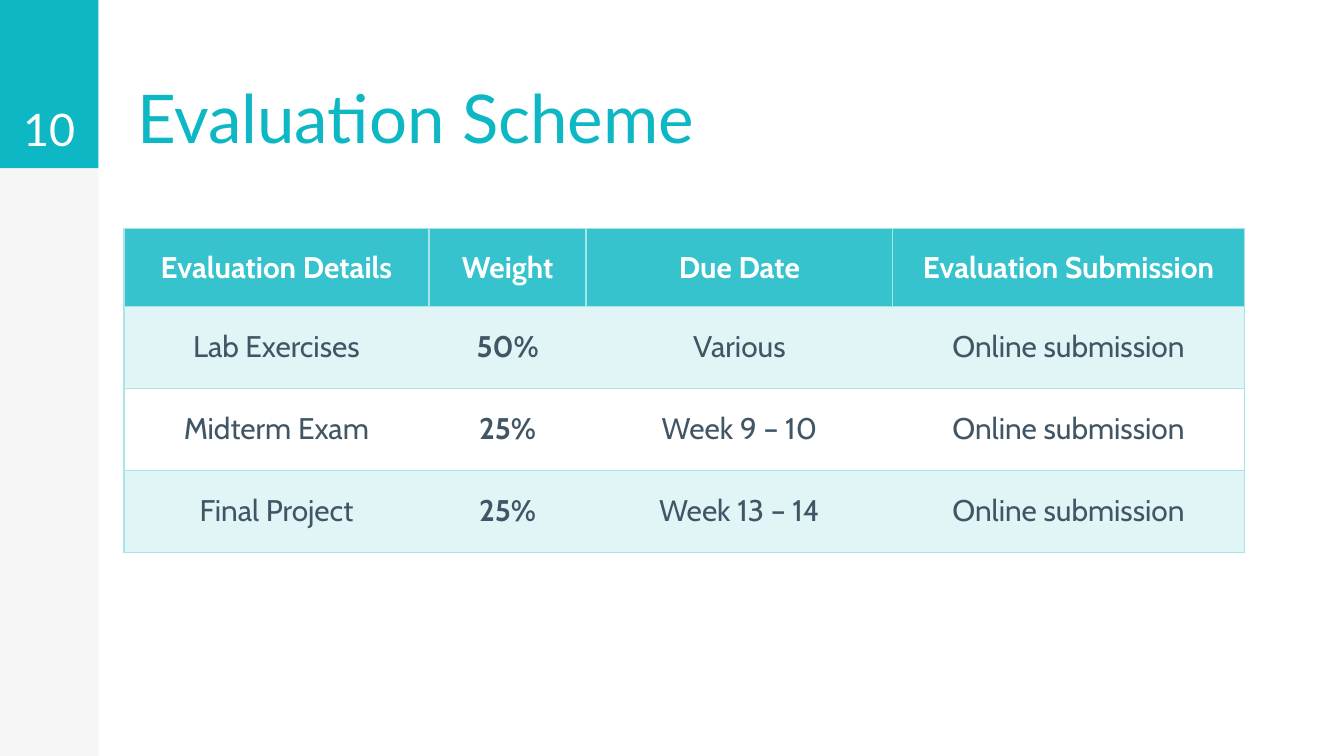
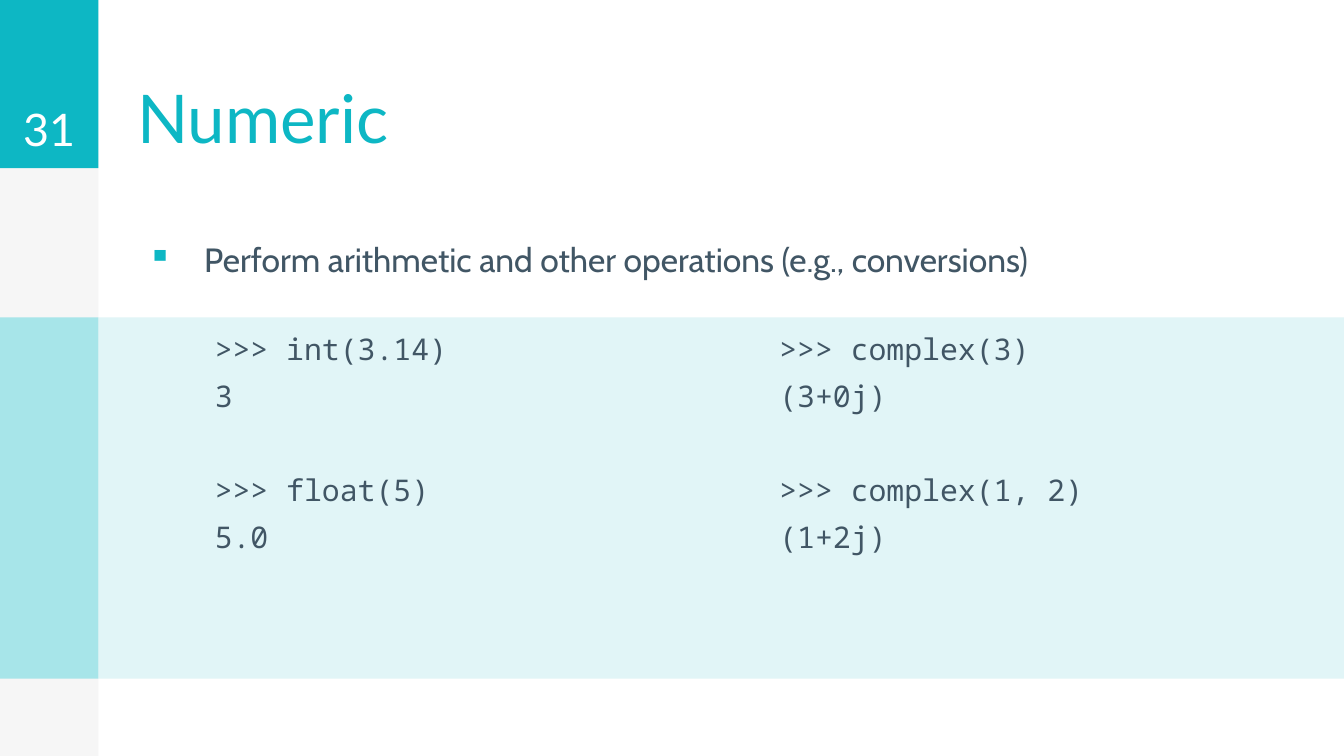
import pptx
import pptx.util
import pptx.dml.color
import pptx.enum.shapes
import pptx.enum.text
import pptx.oxml.ns
from lxml import etree

Cm = pptx.util.Cm
Pt = pptx.util.Pt
ALIGN = pptx.enum.text.PP_ALIGN
ANCHOR = pptx.enum.text.MSO_ANCHOR

COLORS = {
    "accent": "0DB7C4",
    "header": "37C3CE",
    "border": "A7E5E9",
    "tint": "E1F5F7",
    "sidebar": "F6F6F6",
    "text": "415665",
    "white": "FFFFFF",
}
HEADING_FONT, BODY_FONT, CODE_FONT = "Lato", "Cabin", "Noto Sans Mono"

EVALUATION = {
    "number": "10",
    "title": "Evaluation Scheme",
    "rows": [
        ("Evaluation Details", "Weight", "Due Date", "Evaluation Submission"),
        ("Lab Exercises", "50%", "Various", "Online submission"),
        ("Midterm Exam", "25%", "Week 9 – 10", "Online submission"),
        ("Final Project", "25%", "Week 13 – 14", "Online submission"),
    ],
}
NUMERIC = {
    "number": "31",
    "title": "Numeric",
    "bullet": "Perform arithmetic and other operations (e.g., conversions)",
    "code_columns": [
        [(">>> int(3.14)", "3"), (">>> float(5)", "5.0")],
        [(">>> complex(3)", "(3+0j)"), (">>> complex(1, 2)", "(1+2j)")],
    ],
}

SLIDE_WIDTH, SLIDE_HEIGHT = 25.4, 14.29
SIDEBAR_WIDTH, HEADER_HEIGHT = 1.86, 3.18
CONTENT_LEFT, CONTENT_WIDTH = 2.34, 21.18
TABLE_TOP, HEADER_ROW, BODY_ROW = 4.32, 1.47, 1.55
COLUMN_WIDTHS = [5.77, 2.97, 5.79, 6.65]
BULLET_TOP, BULLET_HEIGHT = 4.27, 1.6
CODE_TOP, CODE_HEIGHT = 6, 6.83
CODE_WIDTH, CODE_GAP = 10.54, 0.13
LINE_SPACE, GROUP_SPACE = 6, 31


def rgb(color):
    return pptx.dml.color.RGBColor.from_string(COLORS[color])


def write(frame, lines, font=BODY_FONT, size=16, color="text", bold=False,
          align=ALIGN.LEFT, anchor=ANCHOR.TOP, margin=0.25,
          indent=0, hanging=0, bullet=None):
    frame.word_wrap = True
    frame.auto_size = pptx.enum.text.MSO_AUTO_SIZE.NONE
    frame.vertical_anchor = anchor
    frame.margin_left = frame.margin_right = Cm(margin)
    frame.margin_top = frame.margin_bottom = Cm(margin)
    for index, (text, space) in enumerate(lines):
        paragraph = frame.add_paragraph() if index else frame.paragraphs[0]
        paragraph.alignment = align
        if index:
            paragraph.space_before = Pt(space)
        properties = paragraph._p.get_or_add_pPr()
        if indent:
            properties.set("marL", str(Cm(indent)))
            properties.set("indent", str(Cm(hanging)))
        if bullet:
            bullet_color = etree.SubElement(properties, pptx.oxml.ns.qn("a:buClr"))
            etree.SubElement(bullet_color, pptx.oxml.ns.qn("a:srgbClr"), val=COLORS["accent"])
            etree.SubElement(properties, pptx.oxml.ns.qn("a:buChar"), char=bullet)
        run = paragraph.add_run()
        run.text = text
        run.font.name = font
        run.font.size = Pt(size)
        run.font.bold = bold
        run.font.color.rgb = rgb(color)


def add_text(slide, left, top, width, height, lines, **style):
    box = slide.shapes.add_textbox(Cm(left), Cm(top), Cm(width), Cm(height))
    write(box.text_frame, lines, **style)


def add_band(slide, left, top, width, height, color):
    shape = slide.shapes.add_shape(
        pptx.enum.shapes.MSO_SHAPE.RECTANGLE, Cm(left), Cm(top), Cm(width), Cm(height))
    shape.shadow.inherit = False
    shape.fill.solid()
    shape.fill.fore_color.rgb = rgb(color)
    shape.line.fill.background()


def add_base_slide(presentation, content):
    slide = presentation.slides.add_slide(presentation.slide_layouts[5])
    add_band(slide, 0, 0, SIDEBAR_WIDTH, SLIDE_HEIGHT, "sidebar")
    add_band(slide, 0, 0, SIDEBAR_WIDTH, HEADER_HEIGHT, "accent")
    title = slide.shapes.title
    title.left, title.top = Cm(CONTENT_LEFT), Cm(0.03)
    title.width, title.height = Cm(CONTENT_WIDTH), Cm(HEADER_HEIGHT)
    write(title.text_frame, [(content["title"], 0)], font=HEADING_FONT, size=36,
          color="accent", anchor=ANCHOR.BOTTOM)
    add_text(slide, 0, 0, SIDEBAR_WIDTH, HEADER_HEIGHT, [(content["number"], 0)],
             font=HEADING_FONT, size=24, color="white",
             align=ALIGN.CENTER, anchor=ANCHOR.BOTTOM)
    return slide


def set_borders(cell, sides):
    properties = cell._tc.get_or_add_tcPr()
    for side in "LRTB":
        line = etree.SubElement(properties, pptx.oxml.ns.qn("a:ln" + side), w=str(Pt(1)))
        if side in sides:
            fill = etree.SubElement(line, pptx.oxml.ns.qn("a:solidFill"))
            etree.SubElement(fill, pptx.oxml.ns.qn("a:srgbClr"), val=COLORS["border"])
        else:
            etree.SubElement(line, pptx.oxml.ns.qn("a:noFill"))


def build_evaluation(presentation):
    slide = add_base_slide(presentation, EVALUATION)
    rows = EVALUATION["rows"]
    heights = [HEADER_ROW] + [BODY_ROW] * (len(rows) - 1)
    table = slide.shapes.add_table(
        len(rows), len(COLUMN_WIDTHS), Cm(CONTENT_LEFT), Cm(TABLE_TOP),
        Cm(CONTENT_WIDTH), Cm(sum(heights))).table
    for column, width in zip(table.columns, COLUMN_WIDTHS):
        column.width = Cm(width)
    last = len(COLUMN_WIDTHS) - 1
    for row_index, values in enumerate(rows):
        table.rows[row_index].height = Cm(heights[row_index])
        header = row_index == 0
        fill = "header" if header else "tint" if row_index % 2 else "white"
        for column_index, value in enumerate(values):
            cell = table.cell(row_index, column_index)
            sides = "TB"
            if header or column_index == 0:
                sides += "L"
            if header or column_index == last:
                sides += "R"
            set_borders(cell, sides)
            cell.fill.solid()
            cell.fill.fore_color.rgb = rgb(fill)
            cell.vertical_anchor = ANCHOR.MIDDLE
            write(cell.text_frame, [(value, 0)], align=ALIGN.CENTER, anchor=ANCHOR.MIDDLE,
                  color="white" if header else "text", bold=header or column_index == 1)


def build_numeric(presentation):
    slide = add_base_slide(presentation, NUMERIC)
    add_text(slide, CONTENT_LEFT, BULLET_TOP, CONTENT_WIDTH, BULLET_HEIGHT,
             [(NUMERIC["bullet"], 0)], size=18, indent=1.27, hanging=-1.07, bullet="▪")
    add_band(slide, SIDEBAR_WIDTH, CODE_TOP, SLIDE_WIDTH - SIDEBAR_WIDTH, CODE_HEIGHT, "tint")
    add_band(slide, 0, CODE_TOP, SIDEBAR_WIDTH, CODE_HEIGHT, "border")
    for index, examples in enumerate(NUMERIC["code_columns"]):
        lines = []
        for command, result in examples:
            lines += [(command, GROUP_SPACE), (result, LINE_SPACE)]
        add_text(slide, CONTENT_LEFT + index * (CODE_WIDTH + CODE_GAP), CODE_TOP,
                 CODE_WIDTH, CODE_HEIGHT, lines, font=CODE_FONT, indent=1.47)


def main():
    presentation = pptx.Presentation()
    presentation.slide_width = Cm(SLIDE_WIDTH)
    presentation.slide_height = Cm(SLIDE_HEIGHT)
    build_evaluation(presentation)
    build_numeric(presentation)
    presentation.save("out.pptx")


if __name__ == "__main__":
    main()
